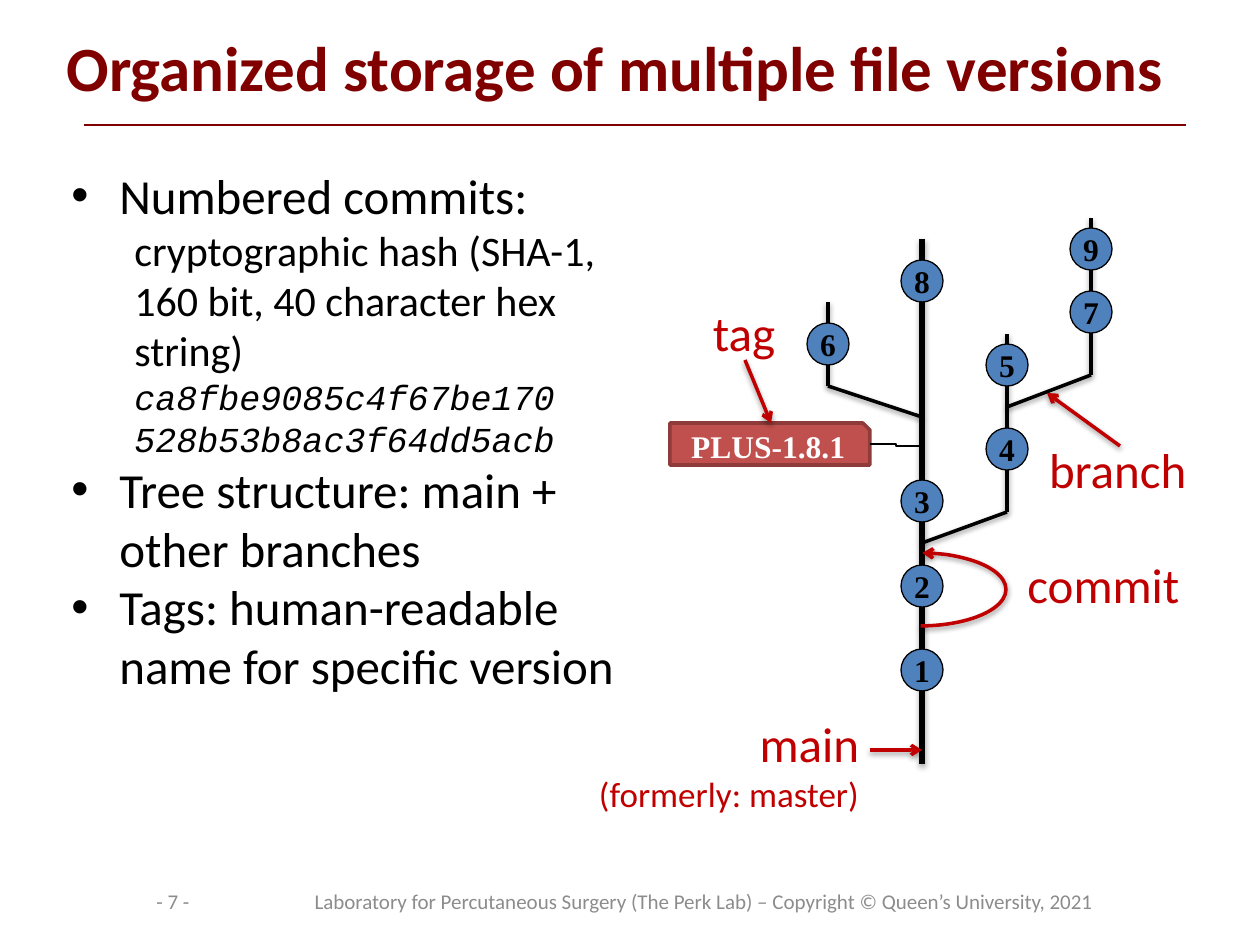
from lxml.etree import SubElement
from pptx import Presentation
from pptx.dml.color import RGBColor
from pptx.enum.shapes import MSO_CONNECTOR, MSO_SHAPE
from pptx.enum.text import MSO_ANCHOR, PP_ALIGN
from pptx.oxml.ns import qn
from pptx.util import Emu, Pt

PX_PER_INCH = 126
BLACK = RGBColor(0x00, 0x00, 0x00)
WHITE = RGBColor(0xFF, 0xFF, 0xFF)
MAROON = RGBColor(0x80, 0x00, 0x00)
RED = RGBColor(0xC0, 0x00, 0x00)
GRAY = RGBColor(0x8C, 0x8C, 0x8C)
BLUE = RGBColor(0x4F, 0x81, 0xBD)
TAG_RED = RGBColor(0xC0, 0x50, 0x4D)
TAG_EDGE = RGBColor(0x8E, 0x3B, 0x39)

HEADING = dict(name="Calibri", size=Pt(36), bold=True, color=MAROON)
BODY = dict(name="Calibri", size=Pt(28), color=BLACK)
DETAIL = dict(BODY, size=Pt(24))
HASH = dict(name="Courier New", size=Pt(20), italic=True, color=BLACK)
LABEL = dict(BODY, color=RED)
SMALL_LABEL = dict(LABEL, size=Pt(20))
FOOTER = dict(name="Calibri", size=Pt(12), color=GRAY)
NUMBER = dict(name="Times New Roman", size=Pt(18), bold=True, color=BLACK)
TAG_NAME = dict(NUMBER, color=WHITE)

MAIN_X, LEFT_X, RIGHT_X, FAR_X = 922, 828, 1007, 1091
COMMIT_SIZE = 42
COMMITS = {
    "1": (MAIN_X, 670), "2": (MAIN_X, 586), "3": (MAIN_X, 501),
    "4": (RIGHT_X, 449), "5": (RIGHT_X, 365), "6": (LEFT_X, 344),
    "7": (FAR_X, 312), "8": (MAIN_X, 281), "9": (FAR_X, 249),
}
BRANCHES = [
    [(MAIN_X, 543), (RIGHT_X, 512), (RIGHT_X, 334)],
    [(MAIN_X, 417), (LEFT_X, 386), (LEFT_X, 302)],
    [(RIGHT_X, 407), (FAR_X, 375), (FAR_X, 218)],
]
POINTERS = [
    ((745, 360), (771, 423)),
    ((870, 750), (MAIN_X, 750)),
    ((1120, 446), (1047, 393)),
]


def px(value):
    return Emu(round(value * 914400 / PX_PER_INCH))


def format_font(font, style):
    for name, value in style.items():
        if name == "color":
            font.color.rgb = value
        else:
            setattr(font, name, value)


def write(para, text, style):
    """Add text to a paragraph, with a line break at each newline."""
    for index, line in enumerate(text.split("\n")):
        if index:
            para.add_line_break()
        if line:
            span = para.add_run()
            span.text = line
            format_font(span.font, style)


def format_frame(frame, inset=True, anchor=MSO_ANCHOR.TOP):
    frame.word_wrap = True
    frame.vertical_anchor = anchor
    if not inset:
        for side in ("left", "right", "top", "bottom"):
            setattr(frame, f"margin_{side}", 0)


def set_indent(para, left, first, bullet=None):
    properties = para._p.get_or_add_pPr()
    properties.set("marL", str(px(left)))
    properties.set("indent", str(px(first)))
    if bullet:
        SubElement(properties, qn("a:buFont"), typeface="Arial")
        SubElement(properties, qn("a:buChar"), char=bullet)
    else:
        SubElement(properties, qn("a:buNone"))


def add_text(slide, bounds, spans, align=PP_ALIGN.LEFT, **frame_format):
    box = slide.shapes.add_textbox(*map(px, bounds))
    format_frame(box.text_frame, **frame_format)
    para = box.text_frame.paragraphs[0]
    para.alignment = align
    for text, style in spans:
        write(para, text, style)


def add_shape(slide, kind, bounds, fill, edge, width):
    shape = slide.shapes.add_shape(kind, *map(px, bounds))
    shape.shadow.inherit = False
    if fill is None:
        shape.fill.background()
    else:
        shape.fill.solid()
        shape.fill.fore_color.rgb = fill
    shape.line.color.rgb = edge
    shape.line.width = Pt(width)
    return shape


def add_labeled_shape(slide, kind, bounds, colors, width, text, style):
    shape = add_shape(slide, kind, bounds, *colors, width)
    format_frame(shape.text_frame, inset=False, anchor=MSO_ANCHOR.MIDDLE)
    para = shape.text_frame.paragraphs[0]
    para.alignment = PP_ALIGN.CENTER
    write(para, text, style)


def add_arrowhead(shape):
    outline = shape.element.spPr.find(qn("a:ln"))
    SubElement(outline, qn("a:tailEnd"), type="arrow")


def add_shadow(effects):
    shadow = SubElement(effects, qn("a:outerShdw"), blurRad=str(Pt(3.1)),
                        dist=str(Pt(1.6)), dir="5400000", rotWithShape="0")
    color = SubElement(shadow, qn("a:srgbClr"), val="000000")
    SubElement(color, qn("a:alpha"), val="38000")


def add_line(slide, start, end, color, width, arrow=False, shadow=True,
             kind=MSO_CONNECTOR.STRAIGHT):
    line = slide.shapes.add_connector(kind, *map(px, (*start, *end)))
    line.line.color.rgb = color
    line.line.width = Pt(width)
    if arrow:
        add_arrowhead(line)
    effects = SubElement(line.element.spPr, qn("a:effectLst"))
    if shadow:
        add_shadow(effects)


def add_title(slide, text):
    title = slide.shapes.title
    title.left, title.top, title.width, title.height = map(px, (54, 6, 1206, 120))
    format_frame(title.text_frame, anchor=MSO_ANCHOR.MIDDLE)
    para = title.text_frame.paragraphs[0]
    para.alignment = PP_ALIGN.LEFT
    write(para, text, HEADING)
    add_line(slide, (84, 125), (1186, 125), MAROON, 0.75, shadow=False)


def add_bullets(slide):
    detail = [("cryptographic hash (SHA-1, 160 bit, 40 character hex string)\n", DETAIL),
              ("ca8fbe9085c4f67be170\n528b53b8ac3f64dd5acb", HASH)]
    items = [
        ("•", [("Numbered commits:", BODY)]),
        (None, detail),
        ("•", [("Tree structure: main + other branches", BODY)]),
        ("•", [("Tags: human-readable name for specific version", BODY)]),
    ]
    frame = slide.shapes.add_textbox(*map(px, (59, 159, 581, 496))).text_frame
    format_frame(frame)
    for index, (bullet, spans) in enumerate(items):
        para = frame.add_paragraph() if index else frame.paragraphs[0]
        set_indent(para, *((48, -48, bullet) if bullet else (63, 0)))
        for text, style in spans:
            write(para, text, style)


def add_commit_arc(slide):
    arc = add_shape(slide, MSO_SHAPE.ARC, (834, 553, 172, 73), None, RED, 2)
    arc.adjustments[0], arc.adjustments[1] = 162.64, 51.75
    arc.element.spPr.find(qn("a:xfrm")).set("flipV", "1")
    add_arrowhead(arc)
    add_shadow(arc.element.spPr.find(qn("a:effectLst")))


def add_version_tree(slide):
    add_labeled_shape(slide, MSO_SHAPE.SNIP_1_RECTANGLE, (670, 423, 200, 42),
                      (TAG_RED, TAG_EDGE), 2, "PLUS-1.8.1", TAG_NAME)
    add_line(slide, (MAIN_X, 446), (870, 444), BLACK, 0.75, shadow=False,
             kind=MSO_CONNECTOR.ELBOW)
    add_line(slide, (MAIN_X, 239), (MAIN_X, 764), BLACK, 3)
    for points in BRANCHES:
        for start, end in zip(points, points[1:]):
            add_line(slide, start, end, BLACK, 2)
    for number, (x, y) in COMMITS.items():
        bounds = (x - COMMIT_SIZE / 2, y - COMMIT_SIZE / 2, COMMIT_SIZE, COMMIT_SIZE)
        add_labeled_shape(slide, MSO_SHAPE.OVAL, bounds, (BLUE, BLACK), 0.75,
                          number, NUMBER)
    for start, end in POINTERS:
        add_line(slide, start, end, RED, 2, arrow=True)
    add_commit_arc(slide)


def main():
    deck = Presentation()
    deck.slide_width, deck.slide_height = px(1260), px(945)
    slide = deck.slides.add_slide(deck.slide_layouts[5])
    add_title(slide, "Organized storage of multiple file versions")
    add_bullets(slide)
    add_version_tree(slide)
    for text, bounds, align in [
        ("tag", (697, 302, 94, 58), PP_ALIGN.CENTER),
        ("branch", (1049, 439, 168, 84), PP_ALIGN.LEFT),
        ("commit", (990, 554, 227, 54), PP_ALIGN.CENTER),
    ]:
        add_text(slide, bounds, [(text, LABEL)], align, inset=False)
    add_text(slide, (500, 714, 359, 84),
             [("main\n", LABEL), ("(formerly: master)", SMALL_LABEL)],
             PP_ALIGN.RIGHT, inset=False)
    add_text(slide, (144, 876, 128, 50), [("- 7 -", FOOTER)],
             anchor=MSO_ANCHOR.MIDDLE)
    owner = ("Laboratory for Percutaneous Surgery (The Perk Lab) – "
             "Copyright © Queen’s University, 2021")
    add_text(slide, (292, 876, 824, 50), [(owner, FOOTER)], PP_ALIGN.CENTER,
             anchor=MSO_ANCHOR.MIDDLE)
    deck.save("out.pptx")


if __name__ == "__main__":
    main()
